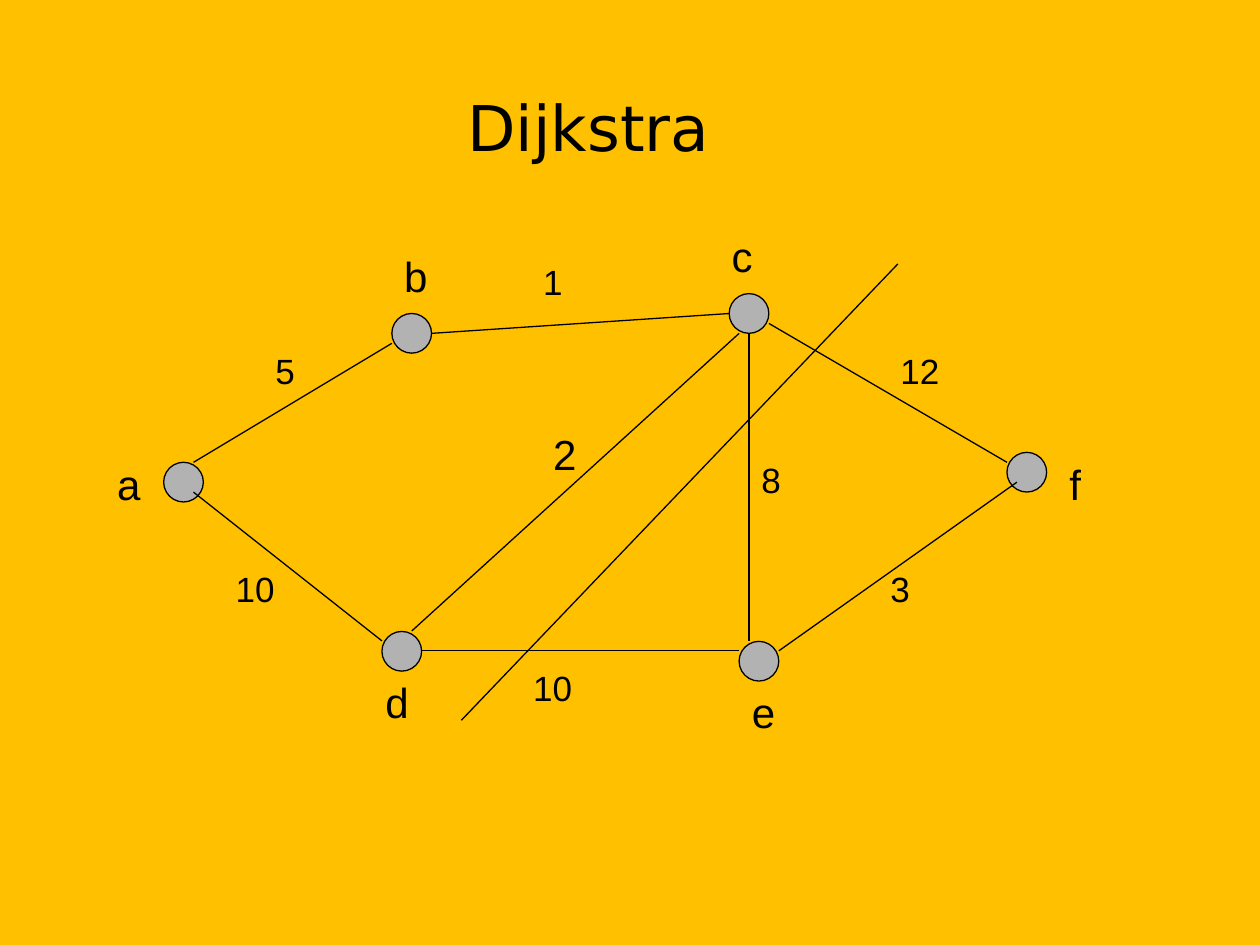
"""Build a slide with a weighted graph for Dijkstra's algorithm and a cut line."""
from lxml.etree import SubElement
from pptx import Presentation
from pptx.dml.color import RGBColor
from pptx.enum.shapes import MSO_CONNECTOR, MSO_SHAPE
from pptx.enum.text import MSO_ANCHOR, MSO_AUTO_SIZE, PP_ALIGN
from pptx.oxml.ns import qn
from pptx.util import Cm, Pt

COLORS = {
    "background": RGBColor.from_string("FFC000"),
    "node": RGBColor.from_string("B2B2B2"),
    "ink": RGBColor.from_string("000000"),
}
NODE_SIZE = 0.8


def add_run(paragraph, text, size, font_name):
    run = paragraph.add_run()
    run.text = text
    run.font.size = Pt(size)
    run.font.name = font_name
    run.font.color.rgb = COLORS["ink"]


def add_label(slide, text, left, top, width, size, wrap):
    height = 1.27 if size == 24 else 1.12
    label = slide.shapes.add_textbox(Cm(left), Cm(top), Cm(width), Cm(height))
    label.text_frame.word_wrap = wrap
    label.text_frame.auto_size = MSO_AUTO_SIZE.SHAPE_TO_FIT_TEXT
    add_run(label.text_frame.paragraphs[0], text, size, "Arial")


presentation = Presentation()
presentation.slide_width = Cm(25.4)
presentation.slide_height = Cm(19.05)
slide = presentation.slides.add_slide(presentation.slide_layouts[5])
slide.background.fill.solid()
slide.background.fill.fore_color.rgb = COLORS["background"]

title = slide.shapes.title
title.left, title.top, title.width, title.height = Cm(1.27), Cm(1.07), Cm(21.59), Cm(2.97)
title.text_frame.vertical_anchor = MSO_ANCHOR.MIDDLE
title_paragraph = title.text_frame.paragraphs[0]
title_paragraph.alignment = PP_ALIGN.CENTER
add_run(title_paragraph, "Dijkstra ", 36, "DejaVu Sans")

nodes = [
    ("a", (3.3, 9.32), (2.11, 9.12), 0.97),
    ("b", (7.9, 6.32), (7.9, 4.93), 0.97),
    ("d", (7.7, 12.73), (7.52, 13.51), 0.97),
    ("c", (14.7, 5.92), (14.5, 4.52), 0.91),
    ("e", (14.9, 12.93), (14.91, 13.72), 0.97),
    ("f", (20.3, 9.12), (21.31, 9.12), 0.74),
]
for name, (left, top), label_position, label_width in nodes:
    node = slide.shapes.add_shape(
        MSO_SHAPE.OVAL, Cm(left), Cm(top), Cm(NODE_SIZE), Cm(NODE_SIZE)
    )
    node.shadow.inherit = False
    node.fill.solid()
    node.fill.fore_color.rgb = COLORS["node"]
    node.line.color.rgb = COLORS["ink"]
    node.line.width = Pt(0.75)

edges = [
    (3.9, 9.32, 7.9, 6.92),
    (8.7, 6.72, 14.7, 6.32),
    (3.9, 9.92, 7.7, 12.92),
    (8.5, 13.12, 14.9, 13.12),
    (14.9, 6.72, 8.3, 12.72),
    (15.1, 6.72, 15.1, 12.92),
    (15.5, 6.52, 20.3, 9.32),
    (15.7, 13.12, 20.5, 9.72),
]
cut = (18.1, 5.32, 9.3, 14.52)
for ends in edges + [cut]:
    connector = slide.shapes.add_connector(
        MSO_CONNECTOR.STRAIGHT, *[Cm(value) for value in ends]
    )
    connector.line.color.rgb = COLORS["ink"]
    connector.line.width = Pt(0.75)
    SubElement(connector._element.spPr, qn("a:effectLst"))

for name, node_position, (left, top), label_width in nodes:
    add_label(slide, name, left, top, label_width, 24, False)

weights = [
    ("5", 5.3, 6.92, 20),
    ("10", 4.5, 11.32, 20),
    ("1", 10.7, 5.12, 20),
    ("10", 10.5, 13.32, 20),
    ("2", 10.9, 8.52, 24),
    ("3", 17.7, 11.32, 20),
    ("12", 17.9, 6.92, 20),
    ("8", 15.1, 9.12, 20),
]
for weight, left, top, size in weights:
    add_label(slide, weight, left, top, 1.8, size, True)

presentation.save("out.pptx")
